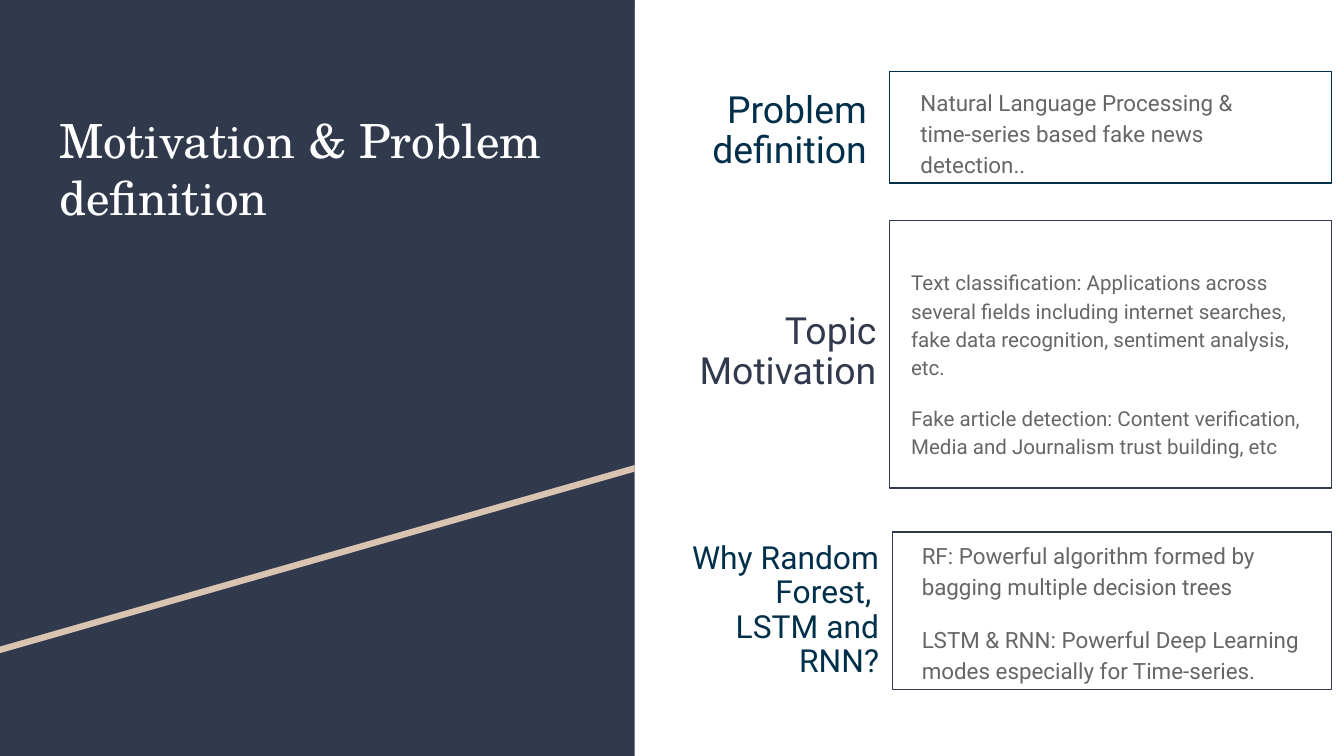
from dataclasses import dataclass

from pptx import Presentation
from pptx.dml.color import RGBColor
from pptx.enum.shapes import MSO_SHAPE
from pptx.enum.text import MSO_ANCHOR, MSO_AUTO_SIZE, PP_ALIGN
from pptx.util import Pt

RECTANGLE = MSO_SHAPE.RECTANGLE
TOP, MIDDLE = MSO_ANCHOR.TOP, MSO_ANCHOR.MIDDLE
LEFT, RIGHT = PP_ALIGN.LEFT, PP_ALIGN.RIGHT
NO_AUTOFIT = MSO_AUTO_SIZE.NONE

COLORS = {
    "navy": "31394D",
    "teal": "002F4A",
    "sand": "D9C4B1",
    "gray": "666666",
    "white": "FFFFFF",
}
TITLE_FONT, BODY_FONT = "TeX Gyre Schola", "Roboto"
SLIDE_WIDTH, SLIDE_HEIGHT = 720, 405
PANEL_WIDTH = 340
BAND_HEIGHT = 3.6
FRAMES_RIGHT = 713.5


@dataclass(frozen=True)
class Box:
    left: float
    top: float
    width: float
    height: float

    def emu(self):
        return Pt(self.left), Pt(self.top), Pt(self.width), Pt(self.height)


@dataclass(frozen=True)
class TextStyle:
    size: float
    color: str
    font: str = BODY_FONT
    align: PP_ALIGN = LEFT
    line_spacing: float = 1.15
    gap: float = 12


@dataclass(frozen=True)
class Section:
    label: str
    label_box: Box
    label_size: float
    label_color: str
    frame_box: Box
    frame_color: str
    details: tuple[str, ...]
    detail_box: Box
    detail_size: float


def frame_at(left: float, top: float, height: float) -> Box:
    return Box(left, top, FRAMES_RIGHT - left, height)


SECTIONS = [
    Section(
        "Problem definition", Box(346.3, 51.1, 125.3, 38.9), 20, "teal",
        frame_at(476.6, 38.2, 59.8), "teal",
        ("Natural Language Processing & time-series based fake news detection..",),
        Box(486, 52.6, 209.5, 35.3), 12,
    ),
    Section(
        "Topic Motivation", Box(346.3, 127.4, 130.3, 123.1), 20, "navy",
        frame_at(476.6, 118.1, 143.3), "navy",
        (
            "Text classification: Applications across several fields including "
            "internet searches, fake data recognition, sentiment analysis, etc.",
            "Fake article detection: Content verification, Media and Journalism "
            "trust building, etc",
        ),
        Box(481, 126, 231.8, 136.8), 11,
    ),
    Section(
        "Why Random Forest, \vLSTM and RNN?", Box(360, 290.9, 118.1, 72.7), 17, "teal",
        frame_at(478.1, 285.1, 84.2), "navy",
        (
            "RF: Powerful algorithm formed by bagging multiple decision trees",
            "LSTM & RNN: Powerful Deep Learning modes especially for Time-series.",
        ),
        Box(486.7, 297.4, 217.4, 59.8), 12,
    ),
]


def rgb(name: str) -> RGBColor:
    return RGBColor.from_string(COLORS[name])


def fill_plain(shape, color: str) -> None:
    shape.shadow.inherit = False
    shape.fill.solid()
    shape.fill.fore_color.rgb = rgb(color)
    shape.line.fill.background()


def write_text(shape, paragraphs: tuple[str, ...], style: TextStyle,
               anchor: MSO_ANCHOR, inset_y: float) -> None:
    frame = shape.text_frame
    frame.word_wrap = True
    frame.auto_size = NO_AUTOFIT
    frame.vertical_anchor = anchor
    frame.margin_left = frame.margin_right = Pt(7.2)
    frame.margin_top = frame.margin_bottom = Pt(inset_y)
    frame.text = "\n".join(paragraphs)
    for index, paragraph in enumerate(frame.paragraphs):
        paragraph.alignment = style.align
        paragraph.line_spacing = style.line_spacing
        if index:
            paragraph.space_before = paragraph.space_after = Pt(style.gap)
        for run in paragraph.runs:
            run.font.name = style.font
            run.font.size = Pt(style.size)
            run.font.color.rgb = rgb(style.color)


def draw_slanted_panel(shapes, top: float, color: str) -> None:
    """Draw a panel whose lower edge rises to the right."""
    corners = [(PANEL_WIDTH, top), (PANEL_WIDTH, top + 249.1), (0, top + 346.3)]
    builder = shapes.build_freeform(0, Pt(top))
    builder.add_line_segments([(Pt(x), Pt(y)) for x, y in corners], close=True)
    fill_plain(builder.convert_to_shape(), color)


def draw_section(shapes, section: Section) -> None:
    members = shapes.add_group_shape().shapes

    label = members.add_textbox(*section.label_box.emu())
    label_style = TextStyle(section.label_size, section.label_color,
                            align=RIGHT, line_spacing=0.9)
    write_text(label, (section.label,), label_style, MIDDLE, 3.6)

    frame = members.add_shape(RECTANGLE, *section.frame_box.emu())
    frame.shadow.inherit = False
    frame.fill.background()
    frame.line.color.rgb = rgb(section.frame_color)
    frame.line.width = Pt(0.75)

    detail = members.add_textbox(*section.detail_box.emu())
    write_text(detail, section.details, TextStyle(section.detail_size, "gray"),
               MIDDLE, 3.6)


def main() -> None:
    deck = Presentation()
    deck.slide_width, deck.slide_height = Pt(SLIDE_WIDTH), Pt(SLIDE_HEIGHT)
    slide = deck.slides.add_slide(deck.slide_layouts[5])
    shapes = slide.shapes
    title = shapes.title

    panel = shapes.add_shape(RECTANGLE, *Box(0, 0, PANEL_WIDTH, SLIDE_HEIGHT).emu())
    fill_plain(panel, "navy")
    draw_slanted_panel(shapes, BAND_HEIGHT, "sand")
    draw_slanted_panel(shapes, 0, "navy")

    # The title placeholder comes first, so lift it above the panel.
    panel.element.getparent().append(title.element)
    title.left, title.top, title.width, title.height = Box(24.5, 52.6, 275, 49.7).emu()
    title_style = TextStyle(25.2, "white", TITLE_FONT, line_spacing=1)
    write_text(title, ("Motivation & Problem definition",), title_style, TOP, 7.2)

    for section in SECTIONS:
        draw_section(shapes, section)

    deck.save("out.pptx")


if __name__ == "__main__":
    main()
